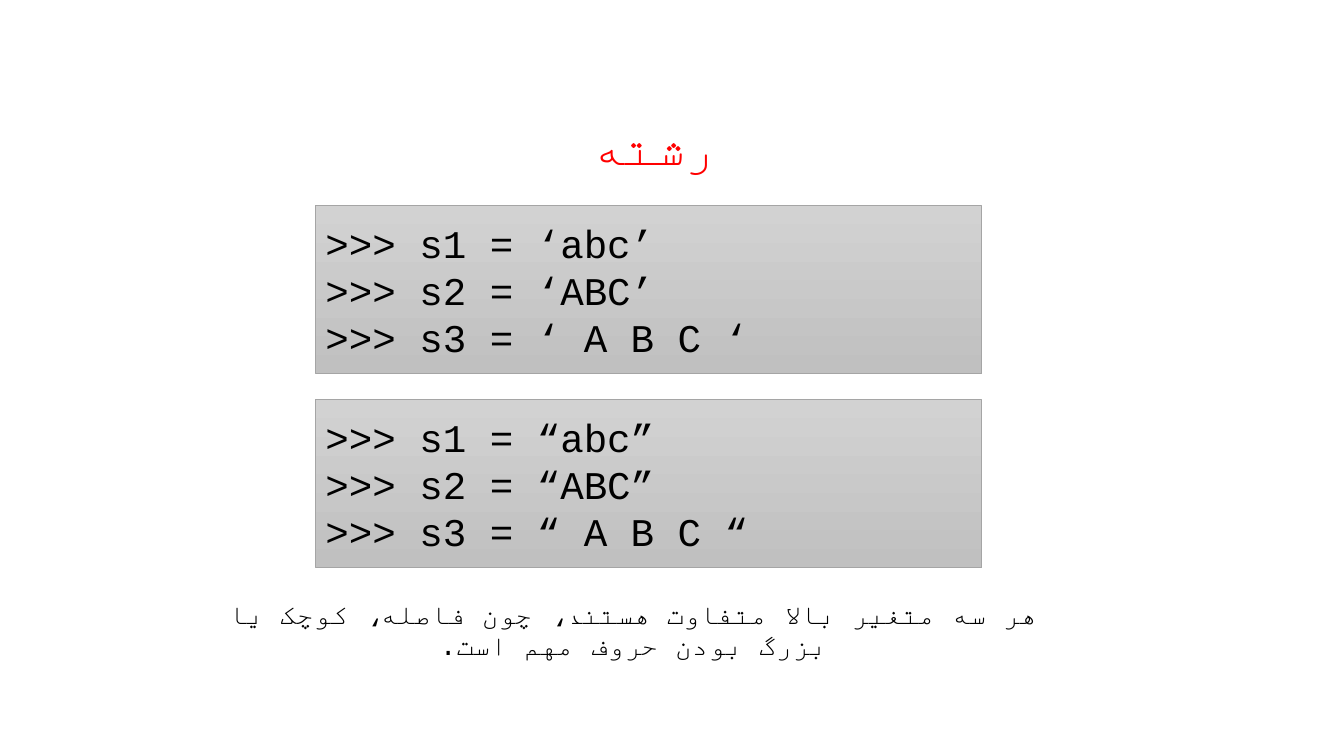
from lxml import etree
from pptx import Presentation
from pptx.dml.color import RGBColor
from pptx.enum.shapes import MSO_SHAPE
from pptx.enum.text import MSO_ANCHOR, PP_ALIGN
from pptx.oxml.ns import qn
from pptx.util import Pt

RECTANGLE = MSO_SHAPE.RECTANGLE
BOTTOM, MIDDLE = MSO_ANCHOR.BOTTOM, MSO_ANCHOR.MIDDLE
LEFT, CENTER = PP_ALIGN.LEFT, PP_ALIGN.CENTER

FONT = "Courier New"
COLORS = {
    "title": "FF0000",
    "text": "000000",
    "panel_top": "D2D2D2",
    "panel_bottom": "C0C0C0",
    "border": "A5A5A5",
}
PANEL_TOP, PANEL_STEP = 146.9, 138.5
QUOTES = ["‘’", "“”"]


def color(name):
    """Return the named colour."""
    return RGBColor.from_string(COLORS[name])


def style(para, size, color_name, bold=False):
    """Set the paragraph's font, for complex scripts too."""
    font = para.font
    font.name, font.size, font.bold = FONT, Pt(size), bold
    font.color.rgb = color(color_name)
    properties = para._p.pPr.find(qn("a:defRPr"))
    etree.SubElement(properties, qn("a:cs"), typeface=FONT)


def add_persian_text(page, left, top, text, size, color_name, bold=False):
    """Add a centred right-to-left line of text."""
    box = page.shapes.add_textbox(Pt(left), Pt(top), Pt(604.8), Pt(53.3))
    frame = box.text_frame
    frame.word_wrap = True
    frame.vertical_anchor = BOTTOM
    para = frame.paragraphs[0]
    para.text = text
    para.alignment = CENTER
    para.line_spacing = 0.9
    style(para, size, color_name, bold)
    para._p.pPr.set("rtl", "1")


def add_code_panel(page, top, lines):
    """Add a grey gradient panel with lines of code."""
    panel = page.shapes.add_shape(RECTANGLE, Pt(225.4), Pt(top), Pt(475.9), Pt(120.2))
    panel.shadow.inherit = False
    panel.fill.gradient()
    panel.fill.gradient_angle = 270
    for stop, name in zip(panel.fill.gradient_stops, ("panel_top", "panel_bottom")):
        stop.color.rgb = color(name)
    panel.line.color.rgb = color("border")
    panel.line.width = Pt(0.5)
    frame = panel.text_frame
    frame.word_wrap = True
    frame.vertical_anchor = MIDDLE
    frame.text = "\n".join(lines)
    for para in frame.paragraphs:
        para.alignment = LEFT
        style(para, 28, "text")


def main():
    """Build the slide about strings."""
    deck = Presentation()
    deck.slide_width, deck.slide_height = Pt(960), Pt(540)
    page = deck.slides.add_slide(deck.slide_layouts[6])
    add_persian_text(page, 165.6, 76.3, "رشته", 36, "title", bold=True)
    add_persian_text(
        page, 149.8, 422.6,
        "هر سه متغیر بالا متفاوت هستند، چون فاصله، کوچک یا بزرگ بودن حروف مهم است.",
        20, "text",
    )
    for index, (opening, closing) in enumerate(QUOTES):
        add_code_panel(page, PANEL_TOP + index * PANEL_STEP, [
            f">>> s1 = {opening}abc{closing}",
            f">>> s2 = {opening}ABC{closing}",
            f">>> s3 = {opening} A B C {opening}",
        ])
    deck.save("out.pptx")


if __name__ == "__main__":
    main()
